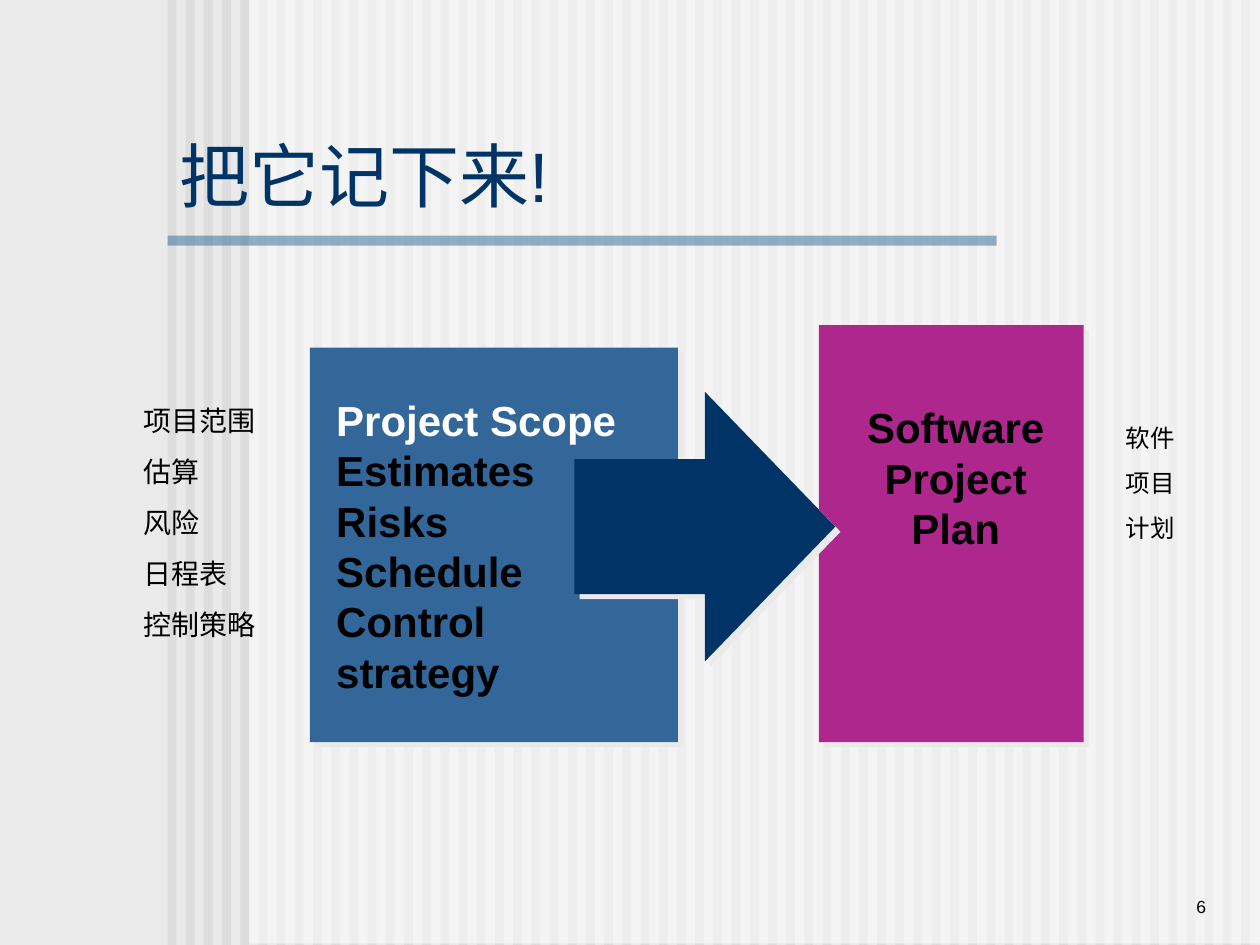
"""Build the slide that shows project facts flowing into a software project plan."""
from lxml.etree import SubElement as Sub
from pptx import Presentation
from pptx.dml.color import RGBColor as Rgb
from pptx.enum.shapes import MSO_SHAPE as Kind
from pptx.enum.text import MSO_ANCHOR as Anchor, MSO_AUTO_SIZE as Fit, PP_ALIGN as Align
from pptx.oxml.ns import qn
from pptx.util import Inches, Pt

COLORS = {
    "back": "EAEAEA", "stripe": "DDDDDD", "white": "FFFFFF", "black": "000000",
    "blue": "336699", "navy": "003366", "plum": "AD278D",
}
FONT = "Arial"


def add_block(slide, box, color, kind=Kind.RECTANGLE, alpha=None, shade=False):
    """Add a plain filled shape, optionally see-through or with a hard shadow."""
    shape = slide.shapes.add_shape(kind, *map(Inches, box))
    shape.shadow.inherit = False
    shape.fill.solid()
    shape.fill.fore_color.rgb = Rgb.from_string(COLORS[color])
    shape.line.fill.background()
    props = shape._element.spPr
    if alpha is not None:
        tint = props.find(qn("a:solidFill")).find(qn("a:srgbClr"))
        Sub(tint, qn("a:alpha"), val=str(alpha * 1000))
    if shade:
        cast = Sub(props.find(qn("a:effectLst")), qn("a:outerShdw"),
                   dist=str(Pt(4.2)), dir="2700000", algn="ctr", rotWithShape="0")
        Sub(cast, qn("a:srgbClr"), val=COLORS["back"])


def add_text(slide, box, lines, size, color="black", first=None, bold=False,
             align=Align.LEFT, anchor=Anchor.TOP, gap=0, pad=True, wrap=True, grow=True):
    """Add a text box with one paragraph per line; first colours the top line."""
    shape = slide.shapes.add_textbox(*map(Inches, box))
    frame = shape.text_frame
    frame.word_wrap = wrap
    frame.auto_size = Fit.SHAPE_TO_FIT_TEXT if grow else Fit.NONE
    frame.vertical_anchor = anchor
    frame.margin_left = frame.margin_right = Inches(0.1 if pad else 0)
    frame.margin_top = frame.margin_bottom = Inches(0.05 if pad else 0)
    for i, line in enumerate(lines):
        para = frame.add_paragraph() if i else frame.paragraphs[0]
        para.alignment = align
        para.space_before = Pt(gap)
        run = para.add_run()
        run.text = line
        run.font.name = FONT
        run.font.size = Pt(size)
        run.font.bold = bold
        hue = first if first and i == 0 else color
        run.font.color.rgb = Rgb.from_string(COLORS[hue])


def add_back(slide):
    """Draw the striped backdrop, its white veil and the title rule."""
    slide.background.fill.solid()
    slide.background.fill.fore_color.rgb = Rgb.from_string(COLORS["back"])
    count, left, last = 60, 1.33, 9.85
    step = (last - left) / (count - 1)
    for i in range(count):
        add_block(slide, (left + i * step, 0, 0.07, 7.5), "stripe")
    add_block(slide, (1.98, -0.01, 8.02, 7.5), "white", alpha=50)
    add_block(slide, (left, 1.87, 6.58, 0.08), "blue", alpha=50)


def main():
    """Build and save the deck."""
    deck = Presentation()
    deck.slide_width, deck.slide_height = Inches(10), Inches(7.5)
    slide = deck.slides.add_slide(deck.slide_layouts[6])
    add_back(slide)
    add_text(slide, (8.25, 6.83, 1.42, 0.5), ["6"], 10,
             align=Align.RIGHT, anchor=Anchor.BOTTOM, grow=False)
    add_text(slide, (1.33, 1.08, 5.59, 0.69), ["把它记下来!"], 40, "navy",
             anchor=Anchor.BOTTOM, grow=False)

    add_block(slide, (6.5, 2.58, 2.1, 3.31), "plum", shade=True)
    add_text(slide, (6.78, 3.14, 1.61, 1.3), ["Software", "Project", "Plan"], 24,
             bold=True, align=Align.CENTER, wrap=False)
    add_block(slide, (2.46, 2.76, 2.92, 3.13), "blue", shade=True)
    add_text(slide, (2.57, 3.08, 2.77, 2.1),
             ["Project Scope", "Estimates", "Risks", "Schedule", "Control strategy"],
             24, first="white", bold=True, wrap=False)
    add_block(slide, (4.56, 3.11, 2.07, 2.14), "navy", Kind.RIGHT_ARROW, shade=True)

    add_text(slide, (1.14, 3.2, 1.18, 1.89),
             ["项目范围", "估算", "风险", "日程表", "控制策略"], 16, gap=10, pad=False)
    add_text(slide, (8.54, 3.36, 1.18, 0.94), ["软件", "项目", "计划"], 14,
             align=Align.CENTER, gap=8.8, pad=False)
    deck.save("out.pptx")


if __name__ == "__main__":
    main()
